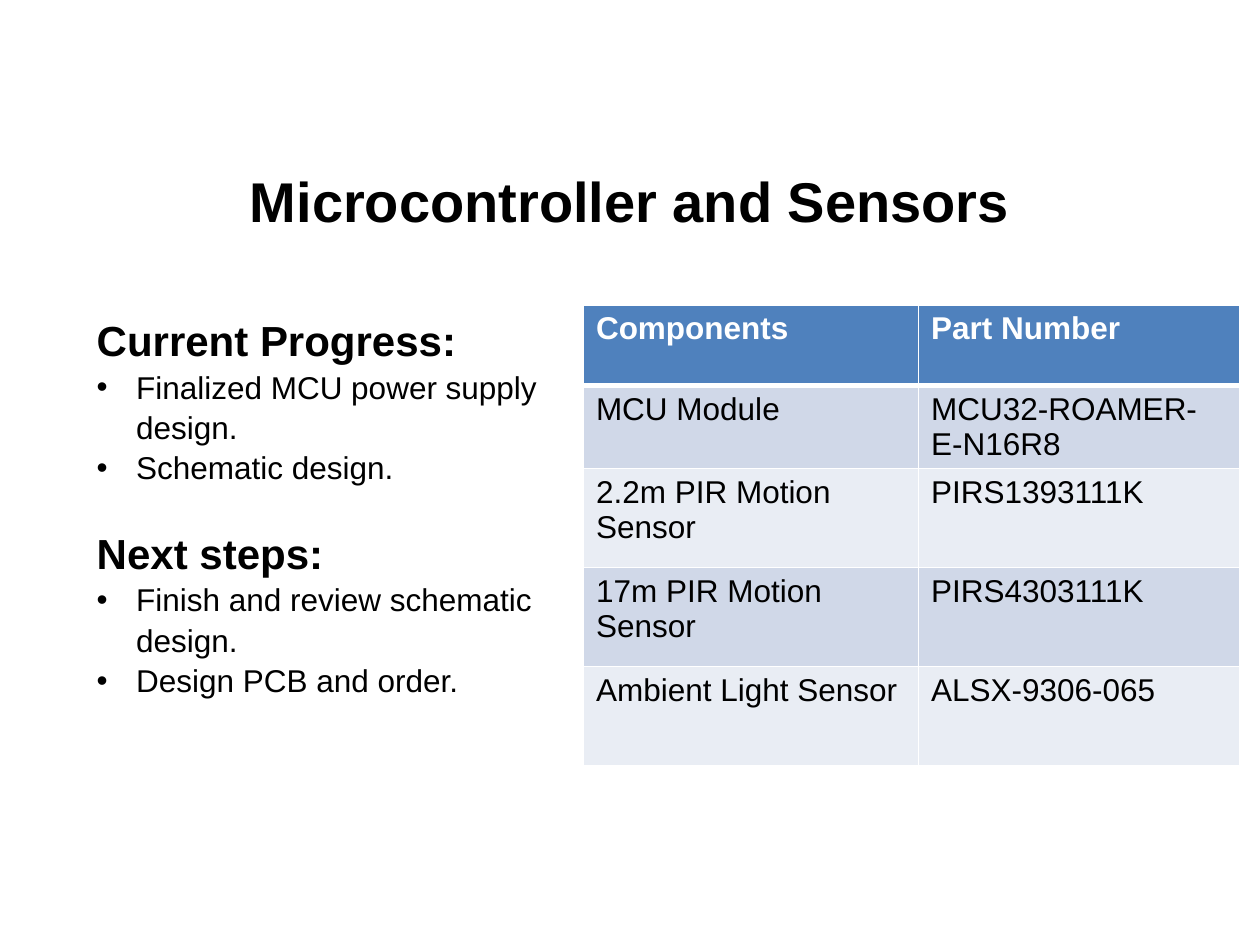
from lxml.etree import SubElement
from pptx import Presentation
from pptx.dml.color import RGBColor as RGB
from pptx.enum.text import MSO_ANCHOR as Anchor, PP_ALIGN as Align
from pptx.oxml.ns import qn
from pptx.util import Pt

COLORS = {"text": "000000", "line": "FFFFFF", "header": "4F81BD",
          "odd": "D0D8E8", "even": "E9EDF4"}
PARTS = [
    ("Components", "Part Number"),
    ("MCU Module", "MCU32-ROAMER-E-N16R8"),
    ("2.2m PIR Motion Sensor", "PIRS1393111K"),
    ("17m PIR Motion Sensor", "PIRS4303111K"),
    ("Ambient Light Sensor", "ALSX-9306-065"),
]
STATUS = [
    ("Current Progress:", ["Finalized MCU power supply design.", "Schematic design."]),
    ("Next steps:", ["Finish and review schematic design.", "Design PCB and order."]),
]


def style(paragraph, size, bold=False, color="text"):
    font = paragraph.font
    font.name = "Arial"
    font.size = Pt(size)
    font.bold = bold
    font.color.rgb = RGB.from_string(COLORS[color])


def add_title(slide, text):
    title = slide.shapes.title
    title.left, title.top, title.width, title.height = Pt(36), Pt(82.8), Pt(648), Pt(63.4)
    title.text_frame.text = text
    title.text_frame.vertical_anchor = Anchor.MIDDLE
    heading = title.text_frame.paragraphs[0]
    heading.alignment = Align.CENTER
    style(heading, 32, True)


def add_bullet(paragraph):
    properties = paragraph._p.get_or_add_pPr()
    properties.set("marL", str(Pt(22.5)))
    properties.set("indent", str(-Pt(22.5)))
    SubElement(properties, qn("a:buFont"), typeface="Arial")
    SubElement(properties, qn("a:buChar"), char="•")


def add_status(slide, sections):
    box = slide.shapes.add_textbox(Pt(48.2), Pt(174.2), Pt(282.2), Pt(218.2))
    frame = box.text_frame
    frame.word_wrap = True
    for section, (heading, items) in enumerate(sections):
        paragraph = frame.add_paragraph() if section else frame.paragraphs[0]
        paragraph.text = heading
        paragraph.line_spacing = 1.07
        if section:
            paragraph.space_before = Pt(21.5)
        style(paragraph, 24, True)
        for item in items:
            paragraph = frame.add_paragraph()
            paragraph.text = item
            paragraph.line_spacing = 1.07
            add_bullet(paragraph)
            style(paragraph, 18)


def add_borders(cell, top, bottom):
    properties = cell._tc.get_or_add_tcPr()
    for side, width in (("L", 1), ("R", 1), ("T", top), ("B", bottom)):
        line = SubElement(properties, qn(f"a:ln{side}"), w=str(Pt(width)))
        fill = SubElement(line, qn("a:solidFill"))
        SubElement(fill, qn("a:srgbClr"), val=COLORS["line"])


def add_parts_table(slide, parts):
    widths, heights = (191.5, 183.6), (46.1, 46.1, 56.6, 56.6, 56.6)
    table = slide.shapes.add_table(len(parts), len(widths), Pt(333.4), Pt(174.2),
                                   Pt(sum(widths)), Pt(sum(heights))).table
    for column, width in zip(table.columns, widths):
        column.width = Pt(width)
    for index, (row, height, texts) in enumerate(zip(table.rows, heights, parts)):
        row.height = Pt(height)
        header = index == 0
        fill = "header" if header else "odd" if index % 2 else "even"
        for cell, text in zip(row.cells, texts):
            cell.text = text
            style(cell.text_frame.paragraphs[0], 18, header, "line" if header else "text")
            add_borders(cell, 3 if index == 1 else 1, 3 if header else 1)
            cell.fill.solid()
            cell.fill.fore_color.rgb = RGB.from_string(COLORS[fill])


def main():
    deck = Presentation()
    deck.slide_width, deck.slide_height = Pt(720), Pt(540)
    slide = deck.slides.add_slide(deck.slide_layouts[5])
    add_title(slide, "Microcontroller and Sensors")
    add_parts_table(slide, PARTS)
    add_status(slide, STATUS)
    deck.save("out.pptx")


if __name__ == "__main__":
    main()
